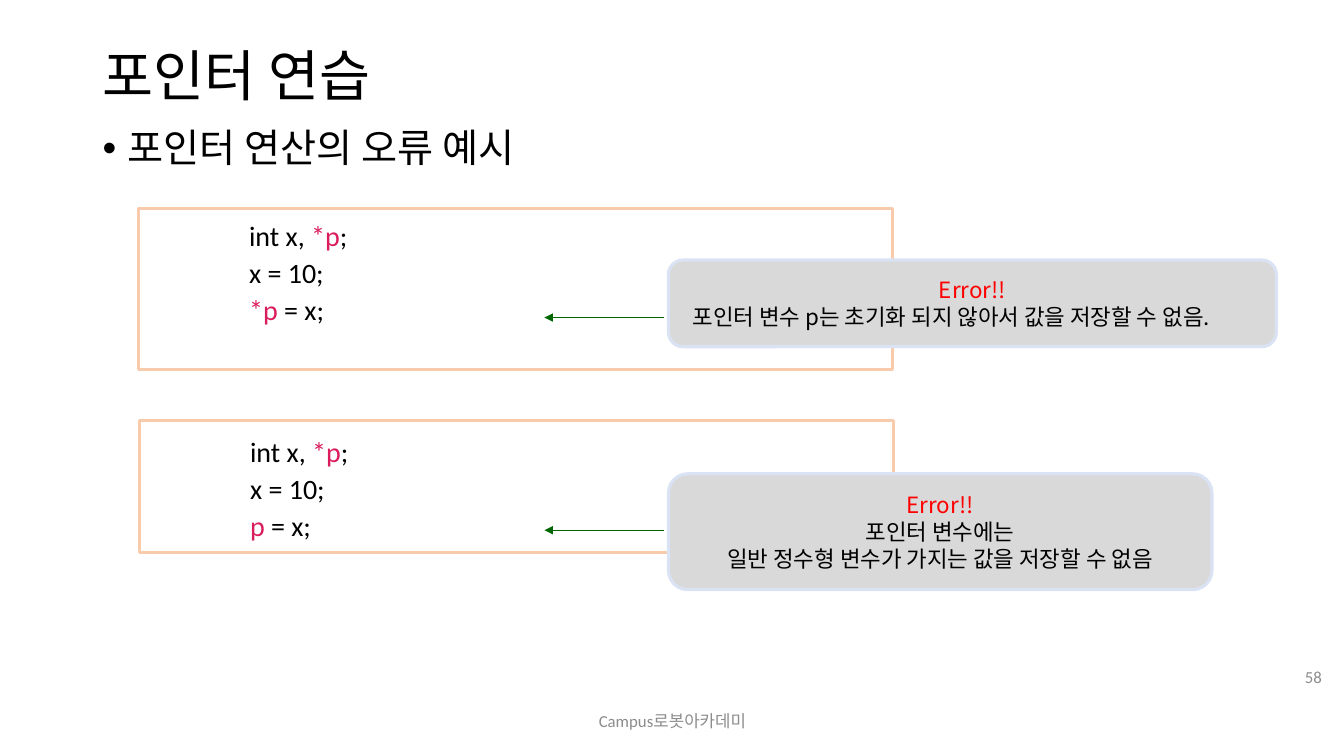
"""Build the slide on faulty pointer assignments."""
from dataclasses import dataclass

from lxml.etree import SubElement
from pptx import Presentation
from pptx.dml.color import RGBColor
from pptx.enum.shapes import MSO_CONNECTOR, MSO_SHAPE
from pptx.enum.text import MSO_ANCHOR, MSO_AUTO_SIZE, PP_ALIGN
from pptx.oxml.ns import qn
from pptx.util import Inches, Pt

COLORS = {
    "text": "000000", "muted": "8C8C8C", "pointer": "DA1C5C", "error": "FF0000",
    "code_fill": "FFFFFF", "code_border": "F8CBAD",
    "note_fill": "D9D9D9", "note_border": "DAE3F3", "arrow": "006600",
}
LATIN, KOREAN = "Calibri", "Noto Sans CJK KR"
Box = tuple[float, float, float, float]
Line = list[tuple[str, str]]


@dataclass
class Example:
    """A code frame, the note on its error and the arrow between them."""
    code_box: Box
    assignment: Line
    bottom_inset: float
    note_box: Box
    reasons: list[str]
    reason_align: PP_ALIGN
    reason_indent: float
    arrow_y: float


EXAMPLES = [
    Example((1.37, 2.07, 7.48, 1.6), [("*p ", "pointer"), ("= x;", "text")], 0.42,
            (6.63, 2.58, 6.03, 0.86),
            ["포인터 변수 p는 초기화 되지 않아서 값을 저장할 수 없음."],
            PP_ALIGN.LEFT, 0.1, 3.15),
    Example((1.38, 4.17, 7.48, 1.31), [("p", "pointer"), (" = x;", "text")], 0.05,
            (6.63, 4.7, 5.39, 1.15),
            ["포인터 변수에는", "일반 정수형 변수가 가지는 값을 저장할 수 없음"],
            PP_ALIGN.CENTER, 0, 5.26),
]
DECLARATIONS: list[Line] = [
    [("int x, ", "text"), ("*p", "pointer"), (";", "text")],
    [("x = 10;", "text")],
]


def rgb(name: str) -> RGBColor:
    """Look up a colour by its role."""
    return RGBColor.from_string(COLORS[name])


def write(paragraph, line: Line, *, size: float, font: str = LATIN,
          align: PP_ALIGN = PP_ALIGN.LEFT, spacing: float = 1.0,
          indent: float = 0, bullet: str = "") -> None:
    """Fill a paragraph with coloured runs in one format."""
    properties = paragraph._p.get_or_add_pPr()
    if bullet:
        SubElement(properties, qn("a:buFont")).set("typeface", "Arial")
        SubElement(properties, qn("a:buChar")).set("char", bullet)
        properties.set("indent", str(-Inches(indent)))
    properties.set("marL", str(Inches(indent)))
    paragraph.alignment = align
    paragraph.line_spacing = spacing
    for text, color in line:
        run = paragraph.add_run()
        run.text = text
        run.font.size = Pt(size)
        run.font.name = font
        run.font.color.rgb = rgb(color)
        SubElement(run._r.get_or_add_rPr(), qn("a:ea")).set("typeface", KOREAN)


def place(shape, box: Box) -> None:
    """Move a shape to its box."""
    shape.left, shape.top, shape.width, shape.height = map(Inches, box)


def set_frame(shape, anchor: MSO_ANCHOR):
    """Make a text frame wrap at a fixed size and return it."""
    frame = shape.text_frame
    frame.word_wrap = True
    frame.auto_size = MSO_AUTO_SIZE.NONE
    frame.vertical_anchor = anchor
    return frame


def add_label(slide, box: Box, text: str, *, color: str = "text",
              anchor: MSO_ANCHOR = MSO_ANCHOR.MIDDLE, **style) -> None:
    """Add a one-line text box."""
    label = slide.shapes.add_textbox(*map(Inches, box))
    write(set_frame(label, anchor).paragraphs[0], [(text, color)], **style)


def add_panel(slide, kind: MSO_SHAPE, box: Box, role: str):
    """Add a bordered shape."""
    panel = slide.shapes.add_shape(kind, *map(Inches, box))
    panel.shadow.inherit = False
    panel.fill.solid()
    panel.fill.fore_color.rgb = rgb(f"{role}_fill")
    panel.line.color.rgb = rgb(f"{role}_border")
    panel.line.width = Pt(2.25)
    set_frame(panel, MSO_ANCHOR.MIDDLE)
    return panel


def next_paragraph(frame, index: int):
    """Return the first paragraph or append another."""
    return frame.add_paragraph() if index else frame.paragraphs[0]


def add_code(slide, example: Example) -> None:
    """Add the translucent frame with its code."""
    panel = add_panel(slide, MSO_SHAPE.RECTANGLE, example.code_box, "code")
    fill_color = panel._element.spPr.find(f"{qn('a:solidFill')}/{qn('a:srgbClr')}")
    SubElement(fill_color, qn("a:alpha")).set("val", "30000")
    frame = panel.text_frame
    frame.margin_left = Inches(1.1)
    frame.margin_bottom = Inches(example.bottom_inset)
    for index, line in enumerate([*DECLARATIONS, example.assignment]):
        write(next_paragraph(frame, index), line, size=20, spacing=1.1)


def add_note(slide, example: Example) -> None:
    """Add the rounded note that explains the error."""
    frame = add_panel(slide, MSO_SHAPE.ROUNDED_RECTANGLE, example.note_box, "note").text_frame
    write(frame.paragraphs[0], [("Error!!", "error")], size=16, font=KOREAN,
          align=PP_ALIGN.CENTER)
    for reason in example.reasons:
        write(frame.add_paragraph(), [(reason, "text")], size=16, font=KOREAN,
              align=example.reason_align, indent=example.reason_indent)


def add_arrow(slide, y: float) -> None:
    """Add the arrow from a note to the faulty line."""
    arrow = slide.shapes.add_connector(
        MSO_CONNECTOR.STRAIGHT, Inches(6.59), Inches(y), Inches(5.4), Inches(y))
    arrow.line.color.rgb = rgb("arrow")
    arrow.line.width = Pt(0.75)
    SubElement(arrow.line._get_or_add_ln(), qn("a:tailEnd")).set("type", "triangle")
    SubElement(arrow._element.spPr, qn("a:effectLst"))


def main() -> None:
    """Build and save the slide."""
    deck = Presentation()
    deck.slide_width, deck.slide_height = Inches(13.33), Inches(7.5)
    slide = deck.slides.add_slide(deck.slide_layouts[5])
    title = slide.shapes.title
    place(title, (0.92, 0.4, 11.5, 0.75))
    write(set_frame(title, MSO_ANCHOR.MIDDLE).paragraphs[0],
          [("포인터 연습", "text")], size=39.6, spacing=0.9)
    add_label(slide, (0.92, 1.23, 11.5, 0.7), "포인터 연산의 오류 예시",
              anchor=MSO_ANCHOR.TOP, size=28, spacing=0.9, indent=0.25, bullet="•")
    add_label(slide, (4.42, 6.95, 4.5, 0.4), "Campus로봇아카데미", color="muted",
              size=12, align=PP_ALIGN.CENTER)
    add_label(slide, (12.59, 6.51, 0.62, 0.4), "58", color="muted",
              size=12, align=PP_ALIGN.RIGHT)
    for example in EXAMPLES:
        add_code(slide, example)
        add_note(slide, example)
        add_arrow(slide, example.arrow_y)
    deck.save("out.pptx")


if __name__ == "__main__":
    main()
